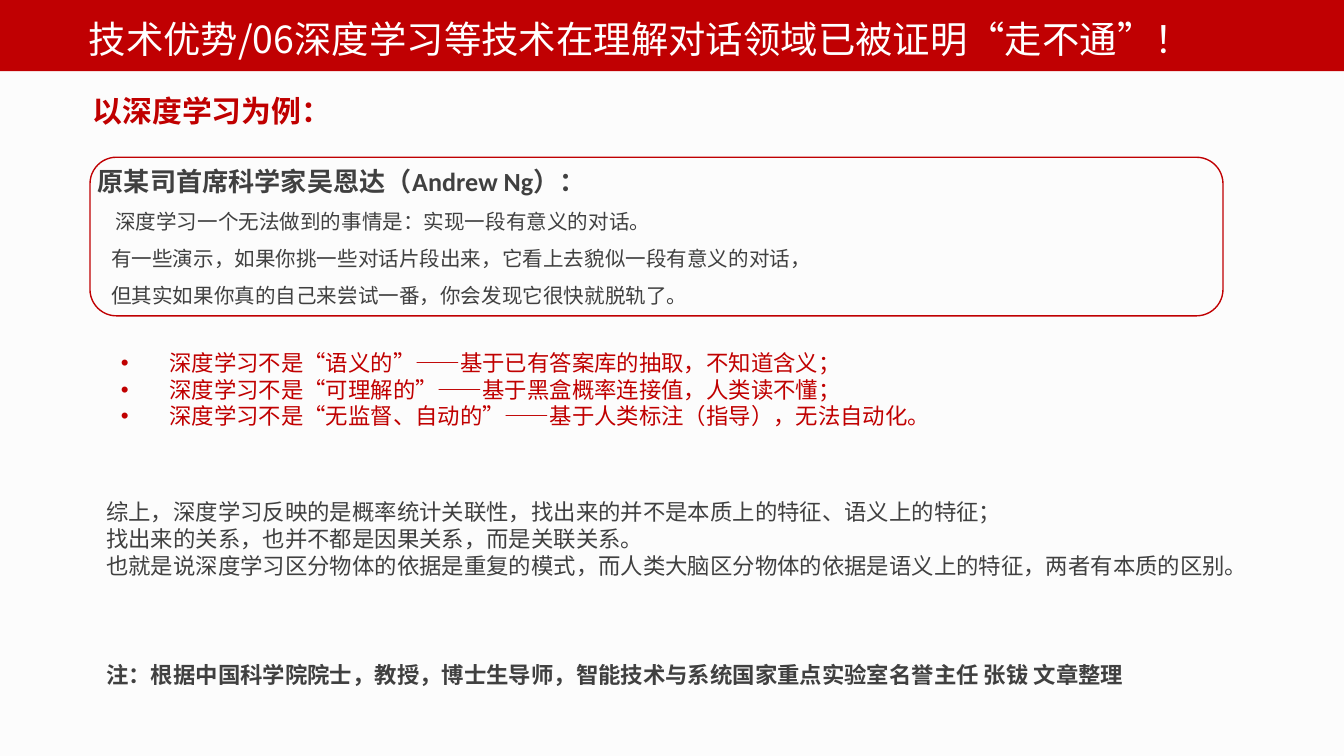
from dataclasses import dataclass

import pptx
import pptx.dml.color
import pptx.enum.shapes
import pptx.enum.text
import pptx.oxml.ns
import pptx.util
from lxml import etree

Inches = pptx.util.Inches
Pt = pptx.util.Pt
Align = pptx.enum.text.PP_ALIGN
Anchor = pptx.enum.text.MSO_ANCHOR
qn = pptx.oxml.ns.qn


@dataclass(frozen=True)
class Theme:
    background: str = "FCFCFC"
    band: str = "C00002"
    accent: str = "C00000"
    text: str = "404040"
    light: str = "FFFFFF"
    latin: str = "Calibri"
    chinese: str = "Noto Sans CJK SC"
    title_size: int = 20
    subtitle_size: int = 16
    heading_size: int = 14
    body_size: int = 12
    quote_size: int = 11


THEME = Theme()

TITLE = "技术优势/06深度学习等技术在理解对话领域已被证明“走不通”！"
EXAMPLE = "以深度学习为例："
SPEAKER = "原某司首席科学家吴恩达（Andrew Ng）："
QUOTE = [
    (0.13, "深度学习一个无法做到的事情是：实现一段有意义的对话。"),
    (0.1, "有一些演示，如果你挑一些对话片段出来，它看上去貌似一段有意义的对话，"),
    (0.1, "但其实如果你真的自己来尝试一番，你会发现它很快就脱轨了。"),
]
LIMITS = [
    "深度学习不是“语义的”——基于已有答案库的抽取，不知道含义；",
    "深度学习不是“可理解的”——基于黑盒概率连接值，人类读不懂；",
    "深度学习不是“无监督、自动的”——基于人类标注（指导），无法自动化。",
]
SUMMARY = [
    "综上，深度学习反映的是概率统计关联性，找出来的并不是本质上的特征、语义上的特征；",
    "找出来的关系，也并不都是因果关系，而是关联关系。",
    "也就是说深度学习区分物体的依据是重复的模式，而人类大脑区分物体的依据是语义上的特征，两者有本质的区别。",
]
NOTE = "注：根据中国科学院院士，教授，博士生导师，智能技术与系统国家重点实验室名誉主任 张钹 文章整理"


def rgb(value):
    return pptx.dml.color.RGBColor.from_string(value)


def place(shape, left, top, width, height):
    shape.left, shape.top = Inches(left), Inches(top)
    shape.width, shape.height = Inches(width), Inches(height)


def prepare_frame(frame, inset_x=0.0, inset_y=0.0, anchor=Anchor.TOP, wrap=True):
    frame.auto_size = pptx.enum.text.MSO_AUTO_SIZE.NONE
    frame.word_wrap = wrap
    frame.vertical_anchor = anchor
    frame.margin_left = frame.margin_right = Inches(inset_x)
    frame.margin_top = frame.margin_bottom = Inches(inset_y)


def write(frame, text, size, color, bold=False, font=THEME.latin,
          east_asian=THEME.latin, align=Align.LEFT, indent=None, bullet=False):
    """Fill the empty first paragraph of the frame, or append a new one."""
    paragraph = frame.paragraphs[0]
    if paragraph.runs:
        paragraph = frame.add_paragraph()
    paragraph.add_run().text = text
    paragraph.alignment = align
    paragraph.space_before = Pt(0)
    properties = paragraph._p.get_or_add_pPr()
    if indent is not None:
        properties.set("marL", str(Inches(indent)))
    if bullet:
        properties.set("indent", str(-Inches(indent)))
        etree.SubElement(properties, qn("a:buFont"), typeface="Arial")
        etree.SubElement(properties, qn("a:buChar"), char="•")
    paragraph.font.name = font
    paragraph.font.size = Pt(size)
    paragraph.font.bold = bold
    paragraph.font.color.rgb = rgb(color)
    defaults = properties.find(qn("a:defRPr"))
    etree.SubElement(defaults, qn("a:ea"), typeface=east_asian)
    return paragraph


def add_text_frame(slide, *bounds, **options):
    box = slide.shapes.add_textbox(*map(Inches, bounds))
    prepare_frame(box.text_frame, **options)
    return box.text_frame


def add_panel(slide, kind, *bounds):
    panel = slide.shapes.add_shape(kind, *map(Inches, bounds))
    panel.shadow.inherit = False
    return panel


def add_title(slide):
    band = add_panel(slide, pptx.enum.shapes.MSO_SHAPE.RECTANGLE, 0, 0, 10, 0.53)
    band.fill.solid()
    band.fill.fore_color.rgb = rgb(THEME.band)
    band.line.fill.background()
    title = slide.shapes.title
    title._element.addprevious(band._element)
    place(title, 0.56, 0.07, 9.08, 0.44)
    prepare_frame(title.text_frame, 0.1, 0.05)
    write(title.text_frame, TITLE, THEME.title_size, THEME.light,
          font=THEME.chinese, east_asian=THEME.chinese)


def add_quote(slide):
    panel = add_panel(slide, pptx.enum.shapes.MSO_SHAPE.ROUNDED_RECTANGLE,
                      0.67, 1.17, 8.43, 1.18)
    panel.fill.background()
    panel.line.color.rgb = rgb(THEME.band)
    panel.line.width = Pt(0.75)
    frame = panel.text_frame
    prepare_frame(frame, anchor=Anchor.MIDDLE)
    write(frame, SPEAKER, THEME.heading_size, THEME.text, bold=True)
    for indent, sentence in QUOTE:
        line = write(frame, sentence, THEME.quote_size, THEME.text,
                     font=THEME.chinese, align=Align.JUSTIFY, indent=indent)
        line.line_spacing = 1.5


def add_limits(slide):
    body = slide.placeholders[1]
    place(body, 0.69, 2.55, 8.62, 1.01)
    prepare_frame(body.text_frame, 0.21, 0.05)
    for limit in LIMITS:
        line = write(body.text_frame, limit, THEME.body_size, THEME.accent,
                     east_asian=THEME.chinese, indent=0.36, bullet=True)
        line.line_spacing = Pt(14.3)


def add_summary(slide):
    frame = add_text_frame(slide, 0.79, 3.71, 8.75, 1.4)
    for sentence in SUMMARY:
        write(frame, sentence, THEME.body_size, THEME.text)
    note = write(frame, NOTE, THEME.body_size, THEME.text, bold=True,
                 font=THEME.chinese)
    note.space_before = Pt(44)


def main():
    deck = pptx.Presentation()
    deck.slide_width = Inches(10)
    deck.slide_height = Inches(10 * 9 / 16)
    slide = deck.slides.add_slide(deck.slide_layouts[1])
    slide.background.fill.solid()
    slide.background.fill.fore_color.rgb = rgb(THEME.background)

    add_title(slide)
    example = add_text_frame(slide, 0.69, 0.69, 1.79, 0.27, wrap=False)
    write(example, EXAMPLE, THEME.subtitle_size, THEME.accent, bold=True)
    add_quote(slide)
    add_limits(slide)
    add_summary(slide)
    deck.save("out.pptx")


if __name__ == "__main__":
    main()
